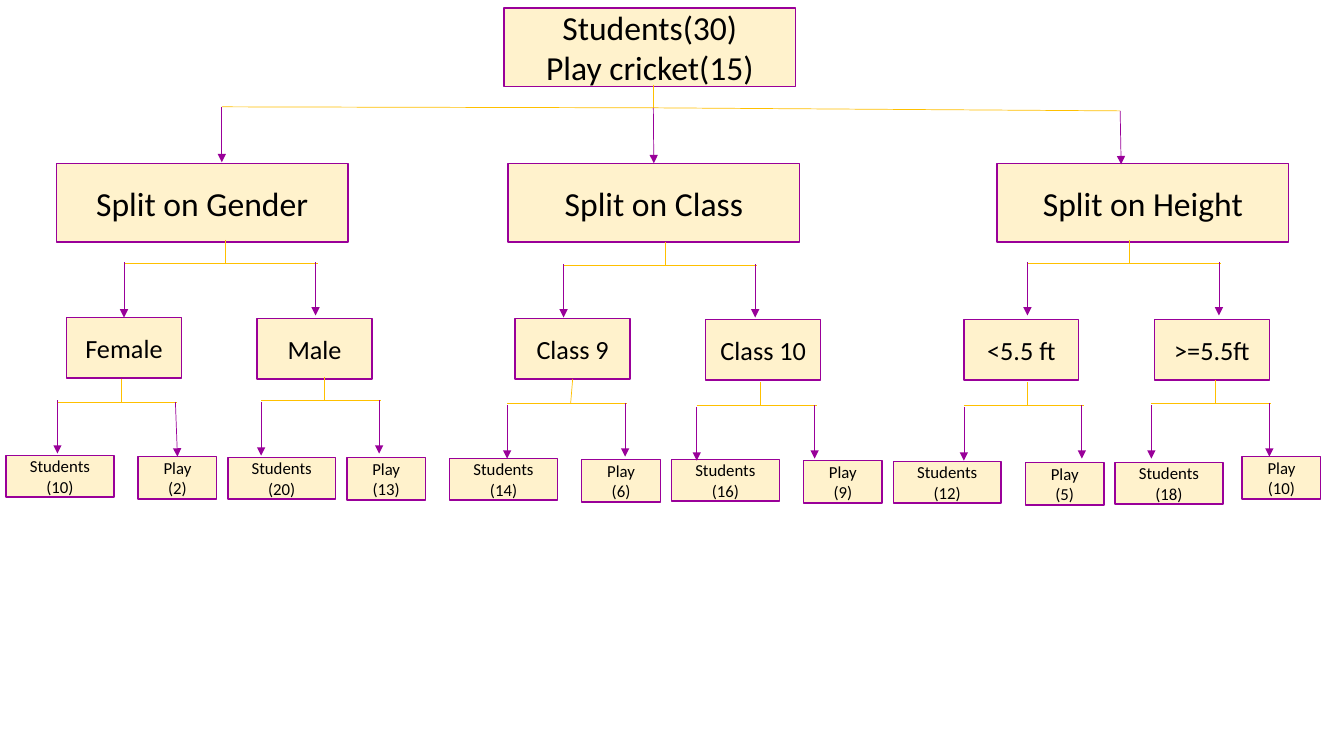
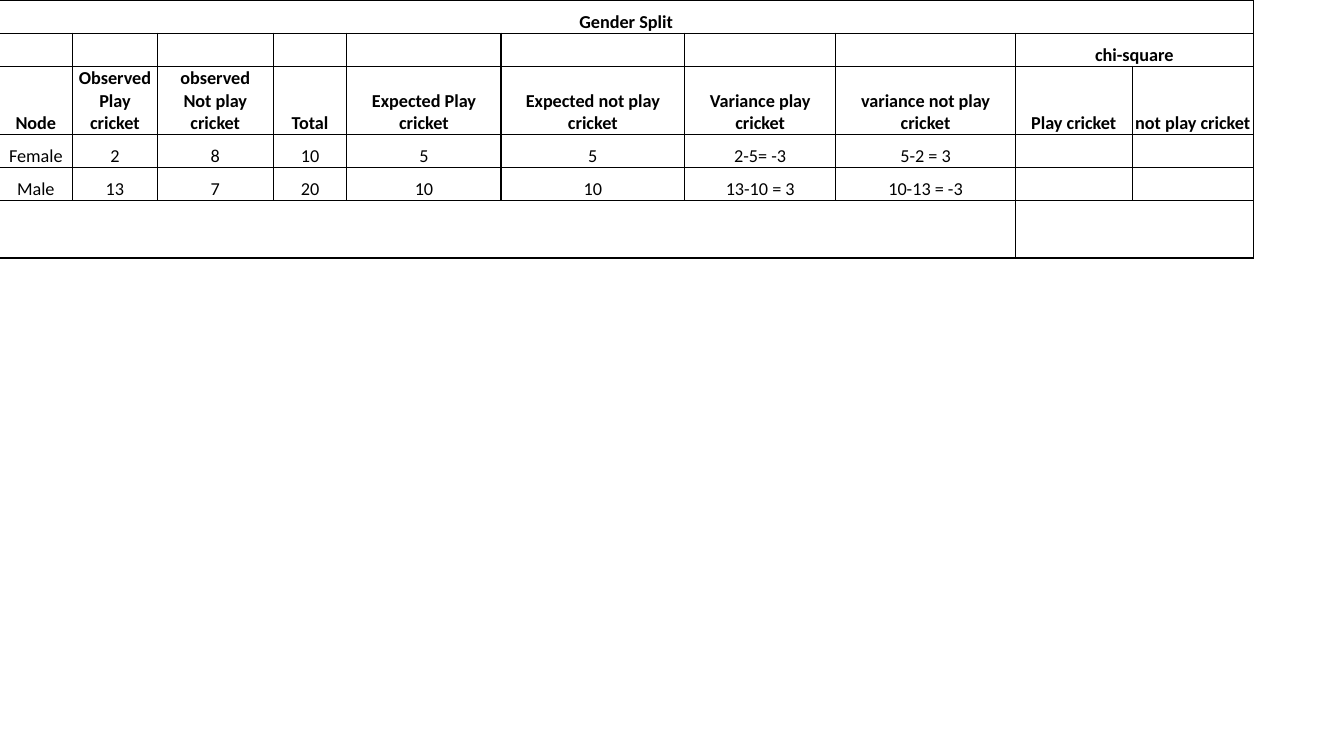
from lxml import etree
from pptx import Presentation
from pptx import util as u
from pptx.dml.color import RGBColor
from pptx.enum import shapes, text
from pptx.oxml.ns import qn

COLOURS = {"box": "FFF2CC", "edge": "990099", "bar": "FFC000",
           "ink": "000000", "paper": "FFFFFF"}
FONT = "Calibri"
JOIN_REACH = 0.025
CELL_FORMAT = {"margin_left": u.Inches(0.01), "margin_right": u.Inches(0.01),
               "margin_top": u.Inches(0.01), "margin_bottom": 0,
               "vertical_anchor": text.MSO_ANCHOR.BOTTOM}

SPLIT_SIZE, NODE_SIZE = (2.89, 0.78), (1.14, 0.6)
STUDENTS_SIZE, PLAY_SIZE = (1.07, 0.41), (0.78, 0.42)
NODE_PITCH, STUDENTS_PITCH = 1.89, 2.2
SPLIT_FORK = {"left": 1.01, "right": 0.89, "overhang": 0.02, "drops": (-0.01, -0.01)}
NODE_FORK = {"left": 0.63, "right": 0.54, "overhang": 0.02, "drops": (0.02, 0)}
FIRST_FORK = {**NODE_FORK, "drops": (-0.02, 0)}

BRANCHES = [
    {"title": "Split on Gender", "left": 0.56, "nodes_left": 0.66, "stem": (2.24, 2.38),
     "nodes": [
         {"name": "Female", "top": 3.15, "stem": (1.2, 3.76), "fork": FIRST_FORK,
          "students": (10, 4.52), "play": (2, 1.37, 4.53)},
         {"name": "Male", "top": 3.16, "stem": (3.22, 3.74), "fork": NODE_FORK,
          "students": (20, 4.54), "play": (13, 3.44, 4.54)}]},
    {"title": "Split on Class", "left": 5.04, "nodes_left": 5.11, "stem": (6.6, 2.4),
     "nodes": [
         {"name": "Class 9", "top": 3.16, "stem": (5.66, 3.77), "fork": NODE_FORK,
          "students": (14, 4.55), "play": (6, 5.77, 4.56)},
         {"name": "Class 10", "top": 3.17, "stem": (7.54, 3.79), "fork": NODE_FORK,
          "students": (16, 4.56), "play": (9, 7.97, 4.57)}]},
    {"title": "Split on Height", "left": 9.89, "nodes_left": 9.56, "stem": (11.2, 2.38),
     "nodes": [
         {"name": "<5.5 ft", "top": 3.17, "stem": (10.19, 3.79), "fork": NODE_FORK,
          "students": (12, 4.58), "play": (5, 10.17, 4.59)},
         {"name": ">=5.5ft", "top": 3.17, "stem": (12.05, 3.77), "fork": NODE_FORK,
          "students": (18, 4.59), "play": (10, 12.32, 4.53)}]},
]

COLUMNS = [0.73, 0.84, 1.15, 0.73, 1.53, 1.82, 1.5, 1.78, 1.16, 1.2]
ROWS = [0.33, 0.33, 0.67, 0.33, 0.33, 0.57]
MERGES = [((0, 0), (0, 9)), ((1, 8), (1, 9)), ((5, 0), (5, 7)), ((5, 8), (5, 9))]
HEADING_ROWS = 3
CELLS = [
    ["Gender Split"],
    [""] * 8 + ["chi-square"],
    ["Node", "Observed\nPlay cricket", "observed\nNot play cricket", "Total",
     "Expected Play cricket", "Expected not play cricket", "Variance play cricket",
     "variance not play cricket", "Play cricket", "not play cricket"],
    ["Female", "2", "8", "10", "5", "5", "2-5= -3", "5-2 = 3"],
    ["Male", "13", "7", "20", "10", "10", "13-10 = 3", "10-13 = -3"],
    [],
]


def colour(name):
    """Return the named colour."""
    return RGBColor.from_string(COLOURS[name])


def apply_format(target, values):
    """Set each attribute of the target from the format values."""
    for name, value in values.items():
        setattr(target, name, value)


def write_text(frame, words, size, bold=False):
    """Write centred paragraphs, one for each line of the words."""
    frame.text = words
    for paragraph in frame.paragraphs:
        paragraph.alignment = text.PP_ALIGN.CENTER
        for run in paragraph.runs:
            apply_format(run.font, {"name": FONT, "size": u.Pt(size), "bold": bold})
            run.font.color.rgb = colour("ink")


def draw_box(slide, left, top, box_size, words, size):
    """Draw one labelled tree box."""
    shape = slide.shapes.add_shape(shapes.MSO_SHAPE.RECTANGLE,
                                   *map(u.Inches, (left, top, *box_size)))
    shape.shadow.inherit = False
    shape.fill.solid()
    shape.fill.fore_color.rgb = colour("box")
    shape.line.color.rgb = colour("edge")
    shape.line.width = u.Pt(1)
    shape.text_frame.word_wrap = True
    shape.text_frame.vertical_anchor = text.MSO_ANCHOR.MIDDLE
    write_text(shape.text_frame, words, size)


def join_box(slide, join, point, site):
    """Join a line end to a box whose top or bottom middle lies at the point."""
    reach = u.Inches(JOIN_REACH)
    for shape in slide.shapes:
        if shape.shape_type != shapes.MSO_SHAPE_TYPE.AUTO_SHAPE:
            continue
        middle = shape.left + shape.width // 2
        side = shape.top + (shape.height if site == 2 else 0)
        if (abs(middle - u.Inches(point[0])) < reach
                and abs(side - u.Inches(point[1])) < reach):
            join(shape, site)


def draw_line(slide, start, end, arrow=False):
    """Draw a plain bar or an arrow, joined to the boxes it meets."""
    connector = slide.shapes.add_connector(shapes.MSO_CONNECTOR.STRAIGHT,
                                           *map(u.Inches, (*start, *end)))
    connector.line.color.rgb = colour("edge" if arrow else "bar")
    connector.line.width = u.Pt(0.5)
    properties = connector.element.spPr
    if arrow:
        etree.SubElement(properties.find(qn("a:ln")), qn("a:tailEnd"), type="triangle")
        join_box(slide, connector.end_connect, end, 0)
    else:
        join_box(slide, connector.begin_connect, start, 2)
    etree.SubElement(properties, qn("a:effectLst"))


def draw_fork(slide, stem, left, right, overhang, drops):
    """Draw a stem, a bar below it and an arrow down from each side."""
    x, top = stem
    bar = top + 0.23
    draw_line(slide, stem, (x, bar))
    draw_line(slide, (x - left, bar), (x, bar))
    draw_line(slide, (x, bar), (x + right + overhang, bar))
    for arrow_x, drop in zip((x - left, x + right), drops):
        draw_line(slide, (arrow_x, bar + drop), (arrow_x, bar + drop + 0.53), arrow=True)


def draw_root(slide, left, top):
    """Draw the lines from the root box to the three splits."""
    hub = (left + 1.48, top + 0.99)
    draw_line(slide, (hub[0], top + 0.76), hub)
    for end, tip in (((2.2, 1.06), (2.2, 1.61)), ((11.11, 1.1), (11.12, 1.63))):
        draw_line(slide, hub, end)
        draw_line(slide, end, tip, arrow=True)
    draw_line(slide, hub, (hub[0], top + 1.54), arrow=True)


def draw_branch_boxes(slide, branch, first_leaf):
    """Draw a split box with its nodes and their leaves."""
    draw_box(slide, branch["left"], 1.62, SPLIT_SIZE, branch["title"], 24)
    for index, node in enumerate(branch["nodes"]):
        draw_box(slide, branch["nodes_left"] + index * NODE_PITCH, node["top"],
                 NODE_SIZE, node["name"], 18.7)
        count, top = node["students"]
        draw_box(slide, first_leaf + index * STUDENTS_PITCH, top, STUDENTS_SIZE,
                 f"Students\n({count})", 12)
        count, left, top = node["play"]
        draw_box(slide, left, top, PLAY_SIZE, f"Play\n({count})", 12)


def build_tree(slide):
    """Build the decision tree slide."""
    left, top = 5, 0.08
    draw_box(slide, left, top, SPLIT_SIZE, "Students(30)\nPlay cricket(15)", 24)
    for index, branch in enumerate(BRANCHES):
        draw_branch_boxes(slide, branch, 0.06 + 2 * index * STUDENTS_PITCH)
    draw_root(slide, left, top)
    for branch in BRANCHES:
        draw_fork(slide, branch["stem"], **SPLIT_FORK)
        for node in branch["nodes"]:
            draw_fork(slide, node["stem"], **node["fork"])


def style_cell(cell):
    """Give a cell its margins, black borders and white fill."""
    apply_format(cell, CELL_FORMAT)
    properties = cell._tc.get_or_add_tcPr()
    for side in ("lnL", "lnR", "lnT", "lnB"):
        line = etree.SubElement(properties, qn(f"a:{side}"), w=str(u.Pt(1)))
        fill = etree.SubElement(line, qn("a:solidFill"))
        etree.SubElement(fill, qn("a:srgbClr"), val=COLOURS["ink"])
    cell.fill.solid()
    cell.fill.fore_color.rgb = colour("paper")


def build_table(slide, left=-0.01, top=0):
    """Build the gender split table slide."""
    frame = slide.shapes.add_table(
        len(ROWS), len(COLUMNS),
        *map(u.Inches, (left, top, sum(COLUMNS), sum(ROWS))))
    table = frame.table
    apply_format(table, {"first_row": False, "horz_banding": False})
    for column, width in zip(table.columns, COLUMNS):
        column.width = u.Inches(width)
    for row, height in zip(table.rows, ROWS):
        row.height = u.Inches(height)
    for cell in table.iter_cells():
        style_cell(cell)
    for start, end in MERGES:
        table.cell(*start).merge(table.cell(*end))
    for row, entries in enumerate(CELLS):
        for column, words in enumerate(entries):
            if words:
                write_text(table.cell(row, column).text_frame, words, 13,
                           row < HEADING_ROWS)


def main():
    """Build and save the presentation."""
    presentation = Presentation()
    presentation.slide_width = u.Inches(13.33)
    presentation.slide_height = u.Inches(7.5)
    for build in (build_tree, build_table):
        build(presentation.slides.add_slide(presentation.slide_layouts[6]))
    presentation.save("out.pptx")


if __name__ == "__main__":
    main()
